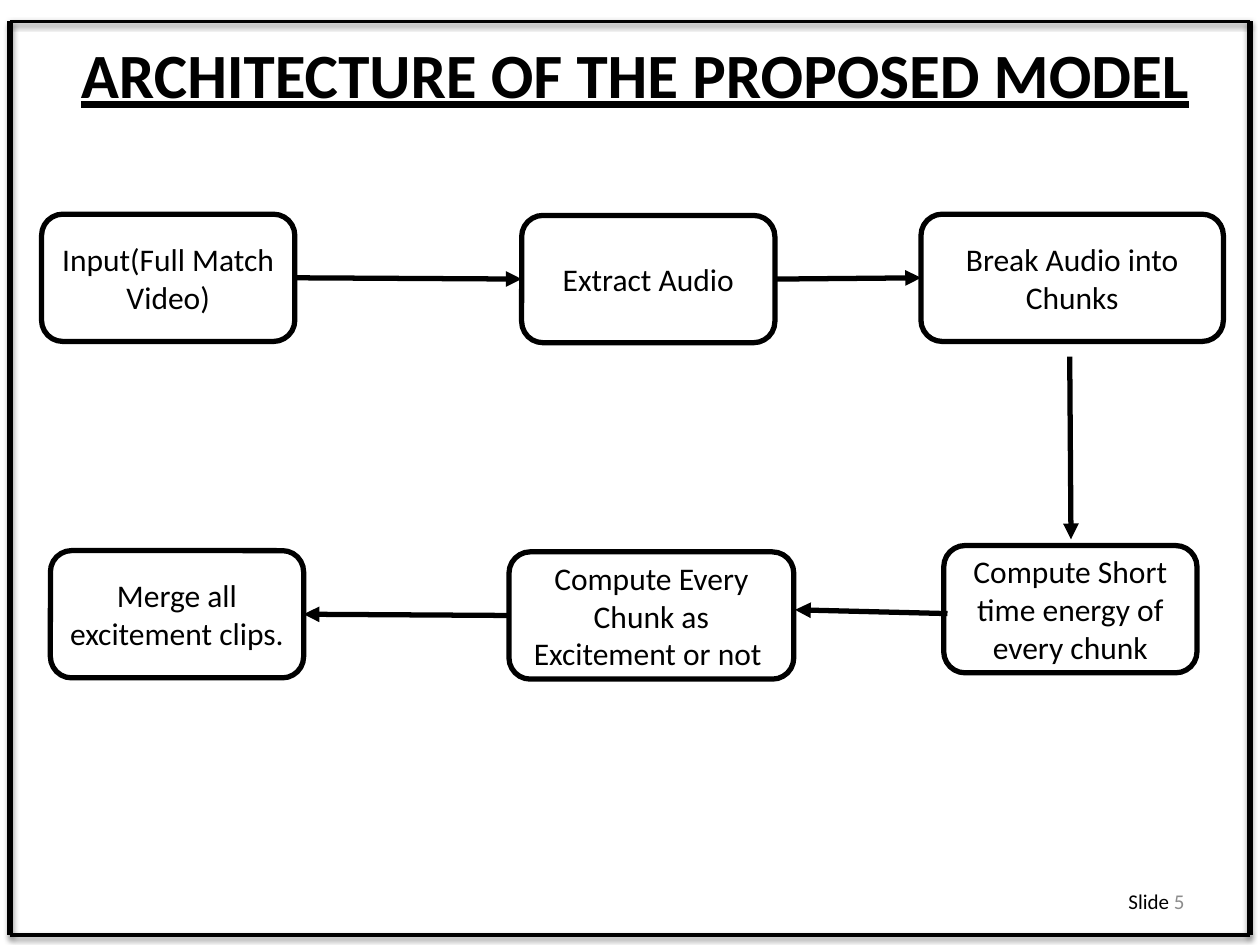
import pptx
import pptx.util
import pptx.dml.color
import pptx.enum.shapes
import pptx.enum.text
import pptx.oxml
import pptx.oxml.ns

Inches, Pt = pptx.util.Inches, pptx.util.Pt
ALIGN = pptx.enum.text.PP_ALIGN
MIDDLE = pptx.enum.text.MSO_ANCHOR.MIDDLE
BLACK = pptx.dml.color.RGBColor(0x00, 0x00, 0x00)
WHITE = pptx.dml.color.RGBColor(0xFF, 0xFF, 0xFF)
GRAY = pptx.dml.color.RGBColor(0x8C, 0x8C, 0x8C)
FONT = "Calibri"

# Content
TITLE = "ARCHITECTURE OF THE PROPOSED MODEL"
FOOTER = [("Slide ", BLACK), ("5", GRAY)]
BOX_HEIGHT = 1.01
STEPS = {  # name: (text, left, top, width)
    "input": ("Input(Full Match Video)", 0.33, 1.7, 2.01),
    "extract": ("Extract Audio", 4.14, 1.71, 2.01),
    "chunks": ("Break Audio into Chunks", 7.31, 1.7, 2.4),
    "energy": ("Compute Short time energy of every chunk", 7.49, 4.33, 2.01),
    "classify": ("Compute Every Chunk as Excitement or not ", 4.04, 4.38, 2.26),
    "merge": ("Merge all excitement clips.", 0.4, 4.37, 2.01),
}
FRAME_LEFT, FRAME_TOP, FRAME_RIGHT, FRAME_BOTTOM = 0.08, 0.17, 9.92, 7.42


def left_middle(name):
    _, left, top, _ = STEPS[name]
    return left, top + BOX_HEIGHT / 2


def right_middle(name):
    left, middle = left_middle(name)
    return left + STEPS[name][3], middle


ARROWS = [
    (right_middle("input"), left_middle("extract")),
    (right_middle("extract"), left_middle("chunks")),
    ((8.49, 2.83), (8.5, 4.28)),
    ((7.52, 4.87), (6.31, 4.84)),
    (left_middle("classify"), right_middle("merge")),
]

presentation = pptx.Presentation()
presentation.slide_width, presentation.slide_height = Inches(10), Inches(7.5)
slide = presentation.slides.add_slide(presentation.slide_layouts[6])


def set_font(font, size, color=BLACK):
    font.name, font.size = FONT, Pt(size)
    font.color.rgb = color


def add_line(start, end, weight):
    line = slide.shapes.add_connector(
        pptx.enum.shapes.MSO_CONNECTOR.STRAIGHT,
        *(Inches(value) for value in (*start, *end)))
    line.line.color.rgb = BLACK
    line.line.width = Pt(weight)
    effects = pptx.oxml.parse_xml(f"<a:effectLst {pptx.oxml.ns.nsdecls('a')}/>")
    line._element.spPr.append(effects)
    return line, effects


def add_frame_side(start, end, weight, distance, opacity):
    _, effects = add_line(start, end, weight)
    effects.append(pptx.oxml.parse_xml(
        f'<a:outerShdw {pptx.oxml.ns.nsdecls("a")} blurRad="{Pt(3.1)}" '
        f'dist="{Pt(distance)}" dir="5400000" rotWithShape="0">'
        f'<a:srgbClr val="{BLACK}"><a:alpha val="{opacity * 1000}"/></a:srgbClr>'
        '</a:outerShdw>'))


def add_text_box(left, top, width, height):
    frame = slide.shapes.add_textbox(
        *(Inches(value) for value in (left, top, width, height))).text_frame
    frame.word_wrap = True
    return frame


# Slide number
footer = add_text_box(7.17, 6.95, 2.33, 0.4)
footer.vertical_anchor = MIDDLE
paragraph = footer.paragraphs[0]
paragraph.alignment = ALIGN.RIGHT
for text, color in FOOTER:
    run = paragraph.add_run()
    run.text = text
    set_font(run.font, 12, color)

# Title
paragraph = add_text_box(0.5, 0.23, 9.08, 0.71).paragraphs[0]
paragraph.text = TITLE
paragraph.alignment = ALIGN.CENTER
set_font(paragraph.font, 36)
paragraph.font.bold = paragraph.font.underline = True

# Slide frame
for y in (FRAME_TOP, FRAME_BOTTOM):
    add_frame_side((FRAME_LEFT, y), (FRAME_RIGHT, y), 2, 1.6, 38)
for x in (FRAME_LEFT, FRAME_RIGHT):
    add_frame_side((x, FRAME_TOP), (x, FRAME_BOTTOM), 3, 1.8, 35)

# Process steps
for text, left, top, width in STEPS.values():
    box = slide.shapes.add_shape(
        pptx.enum.shapes.MSO_SHAPE.ROUNDED_RECTANGLE,
        *(Inches(value) for value in (left, top, width, BOX_HEIGHT)))
    box.shadow.inherit = False
    box.fill.solid()
    box.fill.fore_color.rgb = WHITE
    box.line.color.rgb = BLACK
    box.line.width = Pt(3)
    box.text_frame.word_wrap = True
    box.text_frame.vertical_anchor = MIDDLE
    paragraph = box.text_frame.paragraphs[0]
    paragraph.text = text
    paragraph.alignment = ALIGN.CENTER
    set_font(paragraph.font, 18)

# Arrows between steps
for start, end in ARROWS:
    arrow, _ = add_line(start, end, 3)
    arrow.line._get_or_add_ln().append(pptx.oxml.parse_xml(
        f'<a:tailEnd {pptx.oxml.ns.nsdecls("a")} type="triangle"/>'))

presentation.save("out.pptx")
